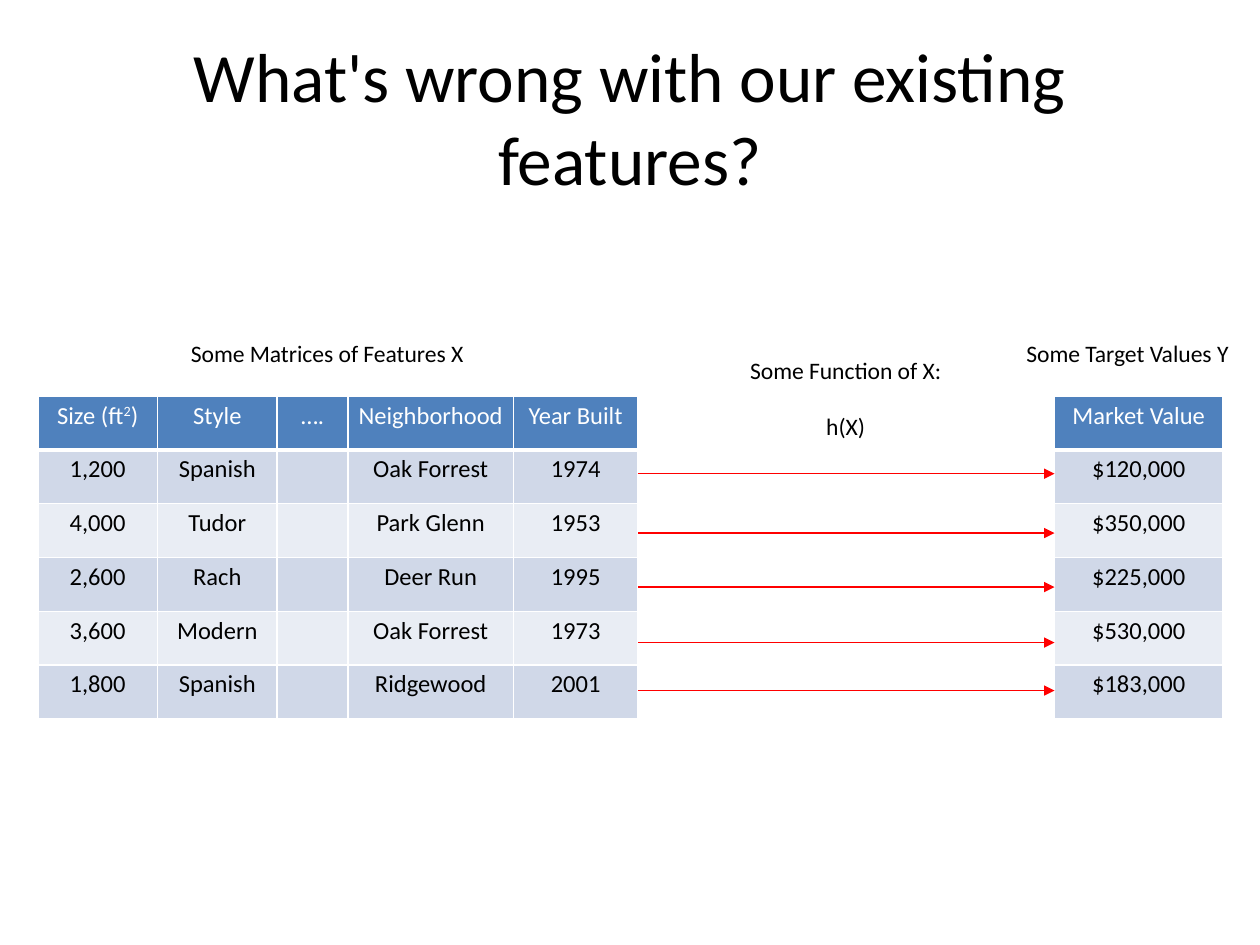
from dataclasses import dataclass

from lxml import etree
from pptx import Presentation
from pptx.dml.color import RGBColor
from pptx.enum import shapes, text
from pptx.oxml import ns
from pptx.util import Pt


@dataclass(frozen=True)
class Theme:
    font: str = "Calibri"
    title: float = 39.6
    label: float = 13.5
    cell: float = 14
    ink: str = "000000"
    paper: str = "FFFFFF"
    header: str = "4F81BD"
    bands: tuple = ("D0D8E8", "E9EDF4")
    arrow: str = "FF0000"


T = Theme()
CENTER = text.PP_ALIGN.CENTER
FEATURES = [
    ["Size (ft^2^)", "Style", "….", "Neighborhood", "Year Built"],
    ["1,200", "Spanish", "", "Oak Forrest", "1974"],
    ["4,000", "Tudor", "", "Park Glenn", "1953"],
    ["2,600", "Rach", "", "Deer Run", "1995"],
    ["3,600", "Modern", "", "Oak Forrest", "1973"],
    ["1,800", "Spanish", "", "Ridgewood", "2001"],
]
TARGETS = [["Market Value"], ["$120,000"], ["$350,000"], ["$225,000"],
           ["$530,000"], ["$183,000"]]


def rgb(value):
    return RGBColor.from_string(value)


def place(s, box):
    for name, value in zip(("left", "top", "width", "height"), box):
        setattr(s, name, Pt(value))


def write(p, content, size, color, align=CENTER):
    p.alignment = align
    for i, part in enumerate(content.split("^")):
        if not part:
            continue
        r = p.add_run()
        r.text = part
        for name, value in {"name": T.font, "size": Pt(size)}.items():
            setattr(r.font, name, value)
        r.font.color.rgb = rgb(color)
        if i % 2:
            r.font._element.set("baseline", "30000")


def add_title(slide, box, content):
    s = slide.shapes.title
    place(s, box)
    s.text_frame.vertical_anchor = text.MSO_ANCHOR.MIDDLE
    write(s.text_frame.paragraphs[0], content, T.title, T.ink)


def add_label(slide, box, lines, align=CENTER, gap=0):
    tf = slide.shapes.add_textbox(*map(Pt, box)).text_frame
    tf.word_wrap = False
    tf.auto_size = text.MSO_AUTO_SIZE.SHAPE_TO_FIT_TEXT
    for i, line in enumerate(lines):
        p = tf.add_paragraph() if i else tf.paragraphs[0]
        if i:
            p.space_before = Pt(gap)
        write(p, line, T.label, T.ink, align)


def add_borders(cell, bottom):
    tc_pr = cell._tc.get_or_add_tcPr()
    for side, width in {"L": 1, "R": 1, "T": 1, "B": bottom}.items():
        ln = etree.SubElement(tc_pr, ns.qn("a:ln" + side), w=str(Pt(width)))
        fill = etree.SubElement(ln, ns.qn("a:solidFill"))
        etree.SubElement(fill, ns.qn("a:srgbClr"), val=T.paper)


def add_grid(slide, box, rows, widths):
    table = slide.shapes.add_table(len(rows), len(widths), *map(Pt, box)).table
    for column, width in zip(table.columns, widths):
        column.width = Pt(width)
    for i, row in enumerate(rows):
        table.rows[i].height = Pt(box[3] / len(rows))
        for j, content in enumerate(row):
            cell = table.cell(i, j)
            margins = {"margin_left": 5.2, "margin_right": 5.2,
                       "margin_top": 2.6, "margin_bottom": 2.6}
            for name, value in margins.items():
                setattr(cell, name, Pt(value))
            add_borders(cell, 1 if i else 3)
            cell.fill.solid()
            cell.fill.fore_color.rgb = rgb(T.bands[(i - 1) % 2] if i else T.header)
            write(cell.text_frame.paragraphs[0], content, T.cell,
                  T.ink if i else T.paper)


def add_arrows(slide, box, offsets):
    left, top, width, _ = box
    for offset in offsets:
        y = Pt(top + offset)
        s = slide.shapes.add_connector(shapes.MSO_CONNECTOR.STRAIGHT,
                                       Pt(left), y, Pt(left + width), y)
        s.line.width = Pt(0.75)
        s.line.color.rgb = rgb(T.arrow)
        etree.SubElement(s.line._get_or_add_ln(), ns.qn("a:tailEnd"), type="triangle")
        etree.SubElement(s._element.spPr, ns.qn("a:effectLst"))


def main():
    prs = Presentation()
    prs.slide_width, prs.slide_height = Pt(720), Pt(540)
    slide = prs.slides.add_slide(prs.slide_layouts[5])
    top, height = 226.4, 184.4
    add_title(slide, (36, 21.6, 648, 90), "What's wrong with our existing features?")
    add_grid(slide, (21.6, top, 343, height), FEATURES, (68.4, 68.4, 40.5, 94.5, 71.2))
    add_grid(slide, (602.6, top, 96.3, height), TARGETS, (96.3,))
    left = text.PP_ALIGN.LEFT
    add_label(slide, (102, 190, 173, 24), ["Some Matrices of Features X"], left)
    add_label(slide, (579.4, 190, 132, 24), ["Some Target Values Y"], left)
    add_arrows(slide, (364.5, top, 238.1, height), (44.3, 78.2, 109.1, 140.8, 168.2))
    add_label(slide, (420.6, 199.6, 125.3, 56), ["Some Function of X:", "h(X)"], gap=16)
    prs.save("out.pptx")


if __name__ == "__main__":
    main()
